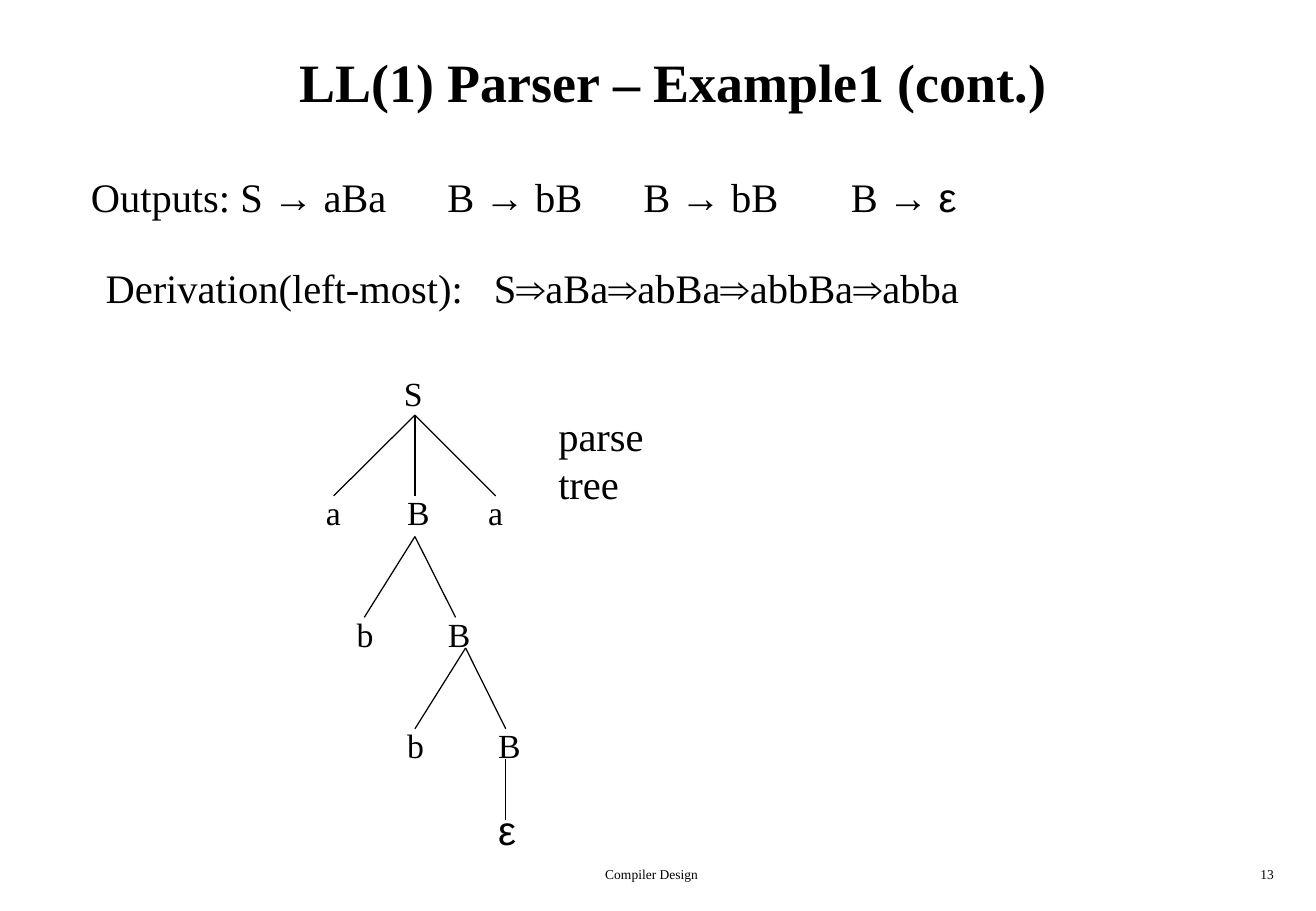
"""Builds the parse tree slide of an LL(1) parser example."""
from dataclasses import dataclass
from itertools import groupby

from lxml import etree
from pptx import Presentation
from pptx import util as u
from pptx.dml.color import RGBColor
from pptx.enum import shapes, text
from pptx.oxml import ns


@dataclass(frozen=True)
class Theme:
    ink: RGBColor = RGBColor(0, 0, 0)
    paper: RGBColor = RGBColor(255, 255, 255)
    serif: str = "Times New Roman"
    sans: str = "Arial"
    signs: str = "→⇒ε"
    title: int = 32
    body: int = 24
    node: int = 20
    foot: int = 8
    rule: float = 0.75


class Page:
    def __init__(self, deck, theme):
        self.theme = theme
        self.slide = deck.slides.add_slide(deck.slide_layouts[6])
        fill = self.slide.background.fill
        fill.solid()
        fill.fore_color.rgb = theme.paper

    def label(self, words, box, size, wrap=True, align="LEFT", bold=False, mid=False, tabs=()):
        frame = self.slide.shapes.add_textbox(*map(u.Cm, box)).text_frame
        look = {
            "word_wrap": wrap,
            "vertical_anchor": text.MSO_ANCHOR.MIDDLE if mid else text.MSO_ANCHOR.TOP,
        }
        for key, value in look.items():
            setattr(frame, key, value)
        para = frame.paragraphs[0]
        para.alignment = getattr(text.PP_ALIGN, align)
        if tabs:
            stops = etree.SubElement(para._p.get_or_add_pPr(), ns.qn("a:tabLst"))
            for stop in tabs:
                etree.SubElement(stops, ns.qn("a:tab"), pos=str(u.Cm(stop)), algn="l")
        for sign, chars in groupby(words, lambda char: char in self.theme.signs):
            run = para.add_run()
            run.text = "".join(chars)
            style = {
                "name": self.theme.sans if sign else self.theme.serif,
                "size": u.Pt(size),
                "bold": bold,
            }
            for key, value in style.items():
                setattr(run.font, key, value)
            run.font.color.rgb = self.theme.ink

    def line(self, start, end):
        edge = self.slide.shapes.add_connector(
            shapes.MSO_CONNECTOR.STRAIGHT, *map(u.Cm, start + end))
        edge.line.color.rgb = self.theme.ink
        edge.line.width = u.Pt(self.theme.rule)
        etree.SubElement(edge._element.spPr, ns.qn("a:effectLst"))

    def branch(self, top, base, kids, size, rise=0.21):
        for name, x, width in kids:
            self.line(top, (x, base))
            self.label(name, (x - 0.41, base - rise, width, 1.12), size, wrap=False)


def main():
    deck = Presentation()
    deck.slide_width, deck.slide_height = u.Cm(27.53), u.Cm(19.05)
    look = Theme()
    page = Page(deck, look)
    page.label("LL(1) Parser – Example1 (cont.)", (1.07, 0.43, 26.04, 2.54),
               look.title, align="CENTER", bold=True, mid=True)
    page.label("Outputs: S → aBa\tB → bB\tB → bB\tB → ε", (1.65, 3.48, 20.83, 1.27),
               look.body, tabs=(7.46, 11.56, 15.9))
    page.label("Derivation(left-most):\tS⇒aBa⇒abBa⇒abbBa⇒abba", (1.96, 5.38, 18.9, 1.27),
               look.body, tabs=(8.12,))
    page.label("parse tree", (11.43, 8.46, 3.76, 1.27), look.body, wrap=False)
    page.label("S", (8.2, 7.67, 0.89, 1.12), look.node, wrap=False)
    page.branch((8.68, 8.68), 10.37,
                [("a", 6.98, 0.81), ("B", 8.68, 0.97), ("a", 10.37, 0.81)], look.node)
    page.branch((8.68, 11.22), 12.91, [("b", 7.62, 0.86), ("B", 9.53, 0.97)], look.node)
    page.branch((9.74, 13.55), 15.24, [("b", 8.68, 0.86), ("B", 10.58, 0.97)], look.node)
    page.branch((10.58, 15.88), 17.15, [("ε", 10.58, 0.86)], look.body, rise=0.44)
    page.label("Compiler Design", (8.48, 17.98, 10.31, 0.64), look.foot, align="CENTER")
    page.label("13", (21.16, 17.98, 5.74, 0.64), look.foot, align="RIGHT")
    deck.save("out.pptx")


if __name__ == "__main__":
    main()
